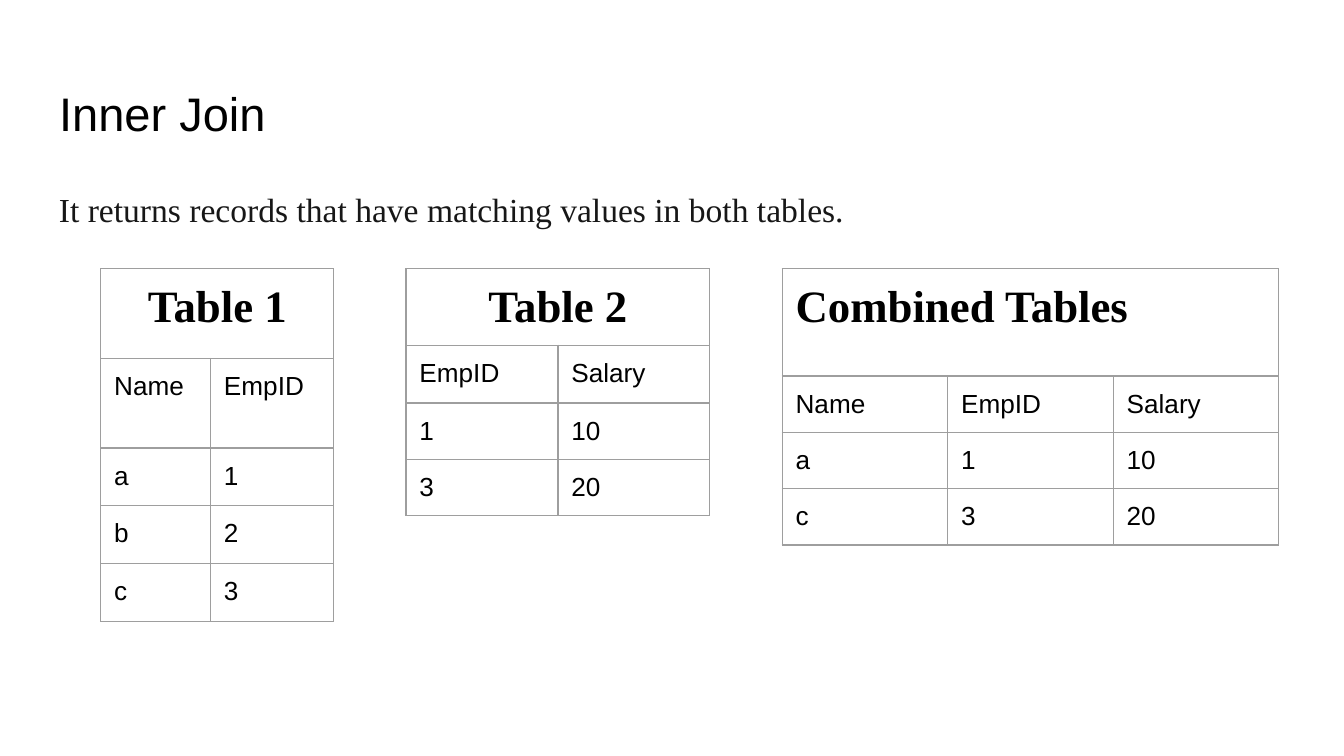
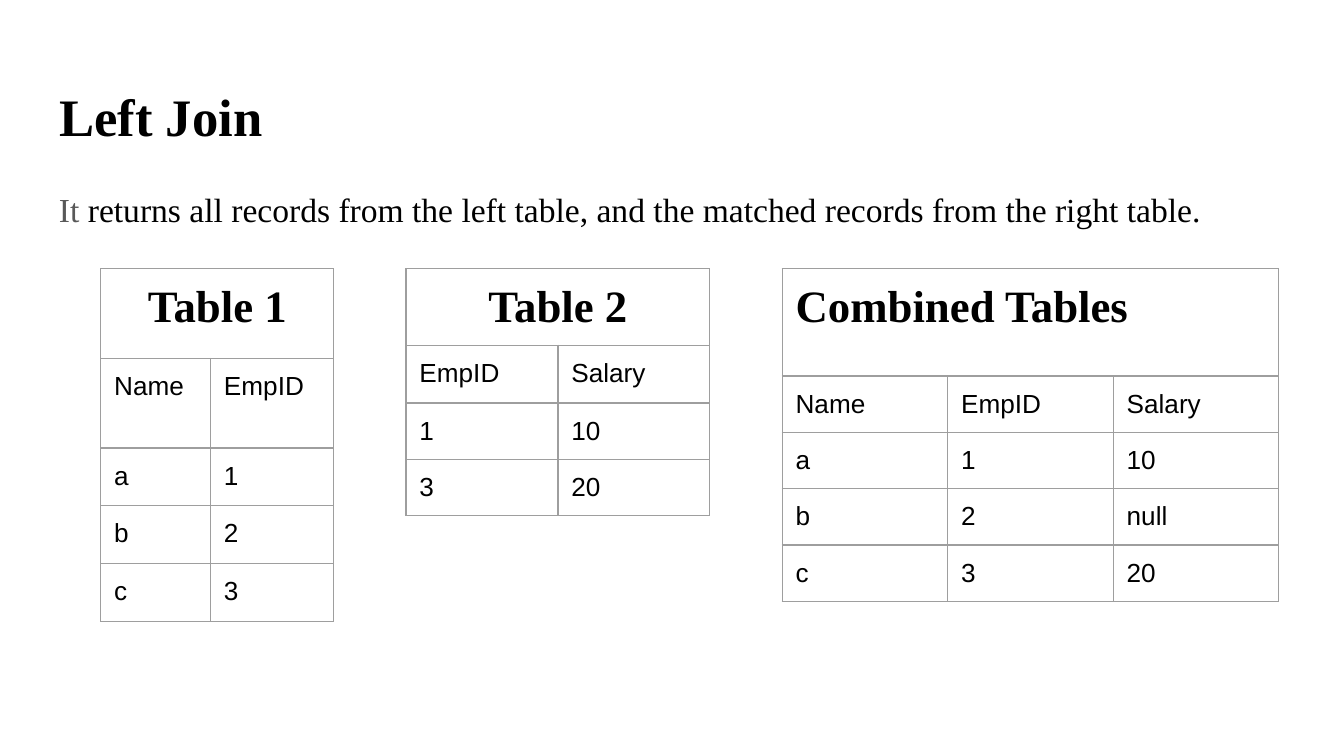
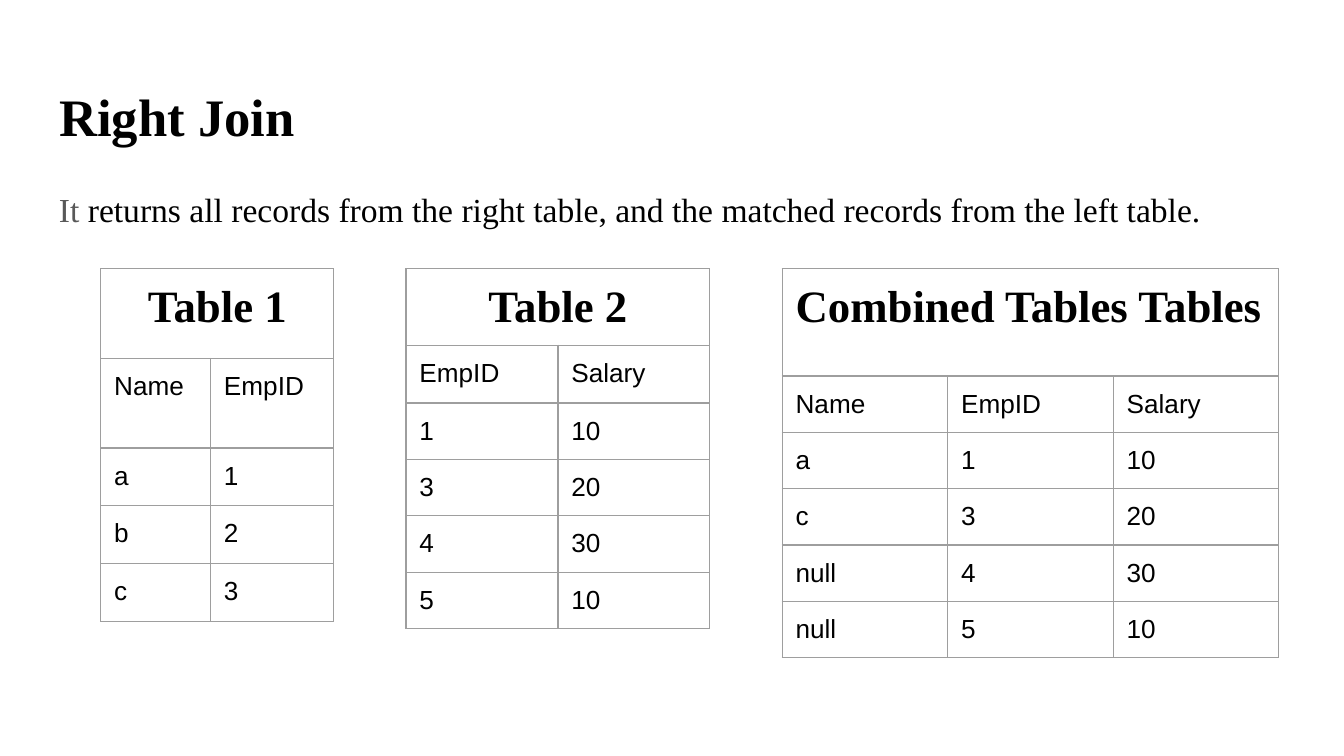
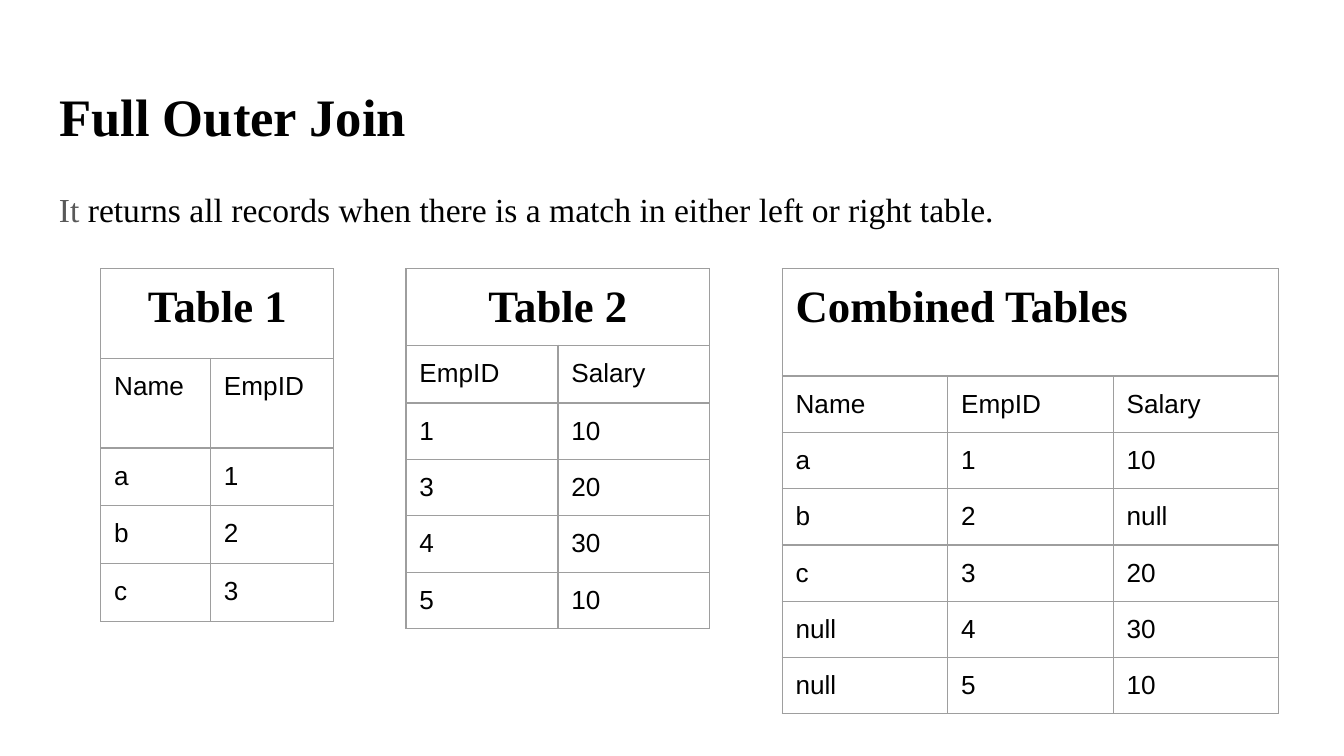
from lxml import etree
from pptx import Presentation
from pptx.dml.color import RGBColor
from pptx.enum.text import MSO_ANCHOR, MSO_AUTO_SIZE, PP_ALIGN
from pptx.oxml.ns import qn
from pptx.util import Pt

TOP = MSO_ANCHOR.TOP
NO_FIT = MSO_AUTO_SIZE.NONE
LEFT, CENTER = PP_ALIGN.LEFT, PP_ALIGN.CENTER

COLORS = {"text": "000000", "definition": "171717", "muted": "595959",
          "border": "9E9E9E", "background": "FFFFFF"}
SANS, SERIF = "Arial", "Times New Roman"
TITLE_ONLY = 5
INSET = 7.2
MARGIN, CONTENT_WIDTH = 24.5, 671
TABLES_TOP = 144

NAMES = [("Name", "EmpID"), ("a", "1"), ("b", "2"), ("c", "3")]
SALARIES = [("EmpID", "Salary"), ("1", "10"), ("3", "20")]
MORE_SALARIES = SALARIES + [("4", "30"), ("5", "10")]
COMBINED_HEADER = ("Name", "EmpID", "Salary")
ROW_A, ROW_B, ROW_C = ("a", "1", "10"), ("b", "2", "null"), ("c", "3", "20")
UNMATCHED = [("null", "4", "30"), ("null", "5", "10")]

JOINS = [
    {"title": "Inner Join", "title_font": (SANS, 25.2, False),
     "definition": [("It returns records that have matching values in both tables.",
                     "definition")],
     "salaries": SALARIES, "combined": [ROW_A, ROW_C]},
    {"title": "Left Join",
     "definition": [("It ", "muted"),
                    ("returns all records from the left table, and the matched "
                     "records from the right table.", "text")],
     "salaries": SALARIES, "combined": [ROW_A, ROW_B, ROW_C]},
    {"title": "Right Join",
     "definition": [("It ", "muted"),
                    ("returns all records from the right table, and the matched "
                     "records from the left table.", "text")],
     "salaries": MORE_SALARIES, "combined": [ROW_A, ROW_C] + UNMATCHED,
     "combined_heading": "Combined Tables Tables"},
    {"title": "Full Outer Join",
     "definition": [("It ", "muted"),
                    ("returns all records when there is a match in either left "
                     "or right table.", "text")],
     "salaries": MORE_SALARIES, "combined": [ROW_A, ROW_B, ROW_C] + UNMATCHED,
     "definition_height": 302.4},
]


def format_run(run, font, size, color="text", bold=False):
    """Set the font, size, colour and weight of a run."""
    run.font.name = font
    run.font.size = Pt(size)
    run.font.bold = bold
    run.font.color.rgb = RGBColor.from_string(COLORS[color])


def set_frame(frame, top_inset=INSET):
    """Give a text frame the shared insets, wrapping and top anchor."""
    frame.word_wrap = True
    frame.auto_size = NO_FIT
    frame.vertical_anchor = TOP
    frame.margin_left = frame.margin_right = frame.margin_bottom = Pt(INSET)
    frame.margin_top = Pt(top_inset)


def add_title(slide, title, title_font):
    """Place and format the slide title."""
    heading = slide.shapes.title
    heading.left, heading.top = Pt(MARGIN), Pt(35)
    heading.width, heading.height = Pt(CONTENT_WIDTH), Pt(45)
    set_frame(heading.text_frame, top_inset=10)
    heading.text_frame.text = title
    paragraph = heading.text_frame.paragraphs[0]
    paragraph.alignment = LEFT
    font, size, bold = title_font
    format_run(paragraph.runs[0], font, size, bold=bold)


def add_definition(slide, parts, height):
    """Add the sentence that defines the join, as coloured parts."""
    definition = slide.shapes.add_textbox(Pt(MARGIN), Pt(90.7),
                                          Pt(CONTENT_WIDTH), Pt(height))
    set_frame(definition.text_frame)
    paragraph = definition.text_frame.paragraphs[0]
    paragraph.line_spacing = 1.15
    for words, color in parts:
        run = paragraph.add_run()
        run.text = words
        format_run(run, SERIF, 18, color)


def set_borders(cell):
    """Draw the four thin borders of a cell."""
    properties = cell._tc.get_or_add_tcPr()
    for side in ("a:lnL", "a:lnR", "a:lnT", "a:lnB"):
        line = etree.SubElement(properties, qn(side), w=str(Pt(0.75)))
        fill = etree.SubElement(line, qn("a:solidFill"))
        etree.SubElement(fill, qn("a:srgbClr"), val=COLORS["border"])


def fill_cell(cell, words, font, size, bold=False, alignment=LEFT):
    """Write and format the text of a cell."""
    cell.text = words
    paragraph = cell.text_frame.paragraphs[0]
    paragraph.alignment = alignment
    format_run(paragraph.runs[0], font, size, bold=bold)


def add_records(slide, left, heading, records, widths, heights, alignment=CENTER):
    """Add a table of records under a merged heading; the last height repeats."""
    row_count = len(records) + 1
    heights = heights + heights[-1:] * (row_count - len(heights))
    table = slide.shapes.add_table(row_count, len(widths), Pt(left), Pt(TABLES_TOP),
                                   Pt(sum(widths)), Pt(sum(heights))).table
    table.first_row = table.horz_banding = False
    for column, width in zip(table.columns, widths):
        column.width = Pt(width)
    for row, height in zip(table.rows, heights):
        row.height = Pt(height)
    for cell in table.iter_cells():
        cell.margin_left = cell.margin_right = Pt(INSET)
        cell.margin_top = cell.margin_bottom = Pt(INSET)
        set_borders(cell)
        cell.fill.background()
    table.cell(0, 0).merge(table.cell(0, len(widths) - 1))
    fill_cell(table.cell(0, 0), heading, SERIF, 24, True, alignment)
    for row_index, record in enumerate(records, 1):
        for column_index, value in enumerate(record):
            fill_cell(table.cell(row_index, column_index), value, SANS, 14)


def add_join_slide(presentation, join):
    """Build one slide that explains a join with its three tables."""
    slide = presentation.slides.add_slide(presentation.slide_layouts[TITLE_ONLY])
    slide.background.fill.solid()
    slide.background.fill.fore_color.rgb = RGBColor.from_string(COLORS["background"])
    add_title(slide, join["title"], join.get("title_font", (SERIF, 28.2, True)))
    add_definition(slide, join["definition"], join.get("definition_height", 269.3))
    add_records(slide, 54, "Table 1", NAMES, [58.8, 66], [48, 48, 31])
    add_records(slide, 217.5, "Table 2", join["salaries"], [81.4] * 2, [31, 31, 30.2])
    add_records(slide, 419, join.get("combined_heading", "Combined Tables"),
                [COMBINED_HEADER] + join["combined"], [88.7] * 3, [57.5, 26.6], LEFT)


def main():
    """Build the presentation and save it."""
    presentation = Presentation()
    presentation.slide_width, presentation.slide_height = Pt(720), Pt(405)
    for join in JOINS:
        add_join_slide(presentation, join)
    presentation.save("out.pptx")


if __name__ == "__main__":
    main()
